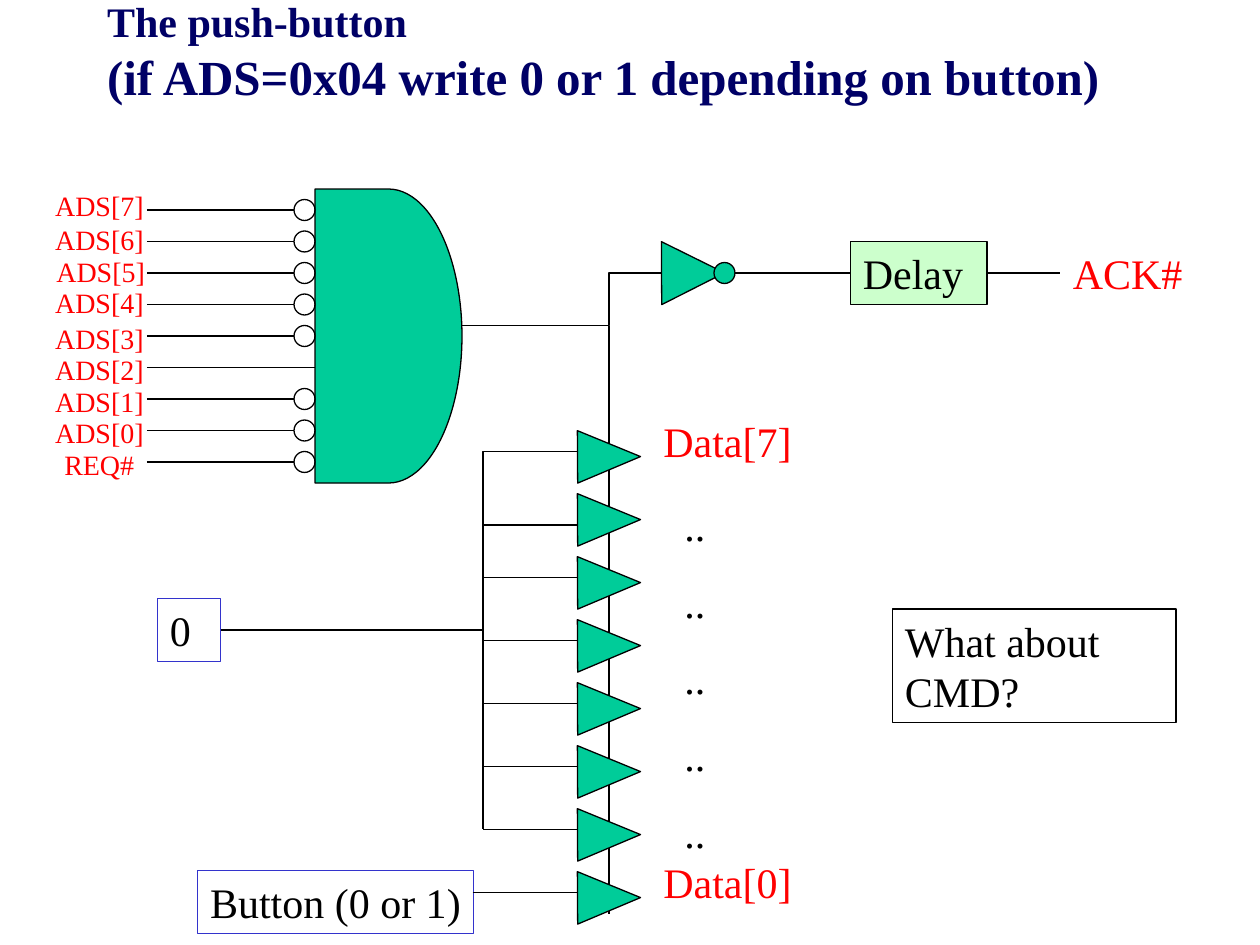
from dataclasses import dataclass
from typing import NamedTuple

from lxml import etree
from pptx import Presentation
from pptx import util as u
from pptx.dml.color import RGBColor
from pptx.enum import shapes as sh, text as tx
from pptx.oxml.ns import qn


@dataclass(frozen=True)
class Theme:
    font: str = "Times New Roman"
    navy: str = "000066"
    red: str = "FF0000"
    black: str = "000000"
    blue: str = "3333CC"
    gate: str = "00CC99"
    pale: str = "CCFFCC"
    small: int = 16
    body: int = 24
    head: int = 28
    line: float = 0.75


class Box(NamedTuple):
    x: float
    y: float
    w: float
    h: float


class Label(NamedTuple):
    text: str
    box: Box
    color: str
    size: int
    wrap: bool = True


T = Theme()
KIND = sh.MSO_SHAPE


def rgb(code: str) -> RGBColor:
    return RGBColor.from_string(code)


def place(box: Box) -> list:
    return [u.Pt(v) for v in box]


def style(shape, fill: str | None = None, line: str = T.black) -> None:
    shape.shadow.inherit = False
    if fill:
        shape.fill.solid()
        shape.fill.fore_color.rgb = rgb(fill)
    else:
        shape.fill.background()
    shape.line.color.rgb = rgb(line)
    shape.line.width = u.Pt(T.line)


def part(slide, kind, box: Box, fill: str | None = None,
         line: str = T.black, turn: float = 0):
    shape = slide.shapes.add_shape(kind, *place(box))
    style(shape, fill, line)
    shape.rotation = turn
    return shape


def wire(slide, x1: float, y1: float, x2: float, y2: float) -> None:
    ends = [u.Pt(v) for v in (x1, y1, x2, y2)]
    item = slide.shapes.add_connector(sh.MSO_CONNECTOR.STRAIGHT, *ends)
    item.line.color.rgb = rgb(T.black)
    item.line.width = u.Pt(T.line)
    etree.SubElement(item._element.spPr, qn("a:effectLst"))


def bend(slide, *dots: tuple[float, float]) -> None:
    """Draw one wire with corners through the given points."""
    pen = slide.shapes.build_freeform(*dots[0], scale=u.Pt(1))
    pen.add_line_segments(dots[1:], close=False)
    style(pen.convert_to_shape())


def write(shape, label: Label, align=tx.PP_ALIGN.LEFT) -> None:
    frame = shape.text_frame
    frame.word_wrap = label.wrap
    frame.vertical_anchor = tx.MSO_ANCHOR.TOP
    frame.text = label.text
    for para in frame.paragraphs:
        para.alignment = align
        if label.wrap:
            para.space_before = u.Pt(15)
        font = para.font
        font.name = T.font
        font.size = u.Pt(label.size)
        font.color.rgb = rgb(label.color)


def note(slide, label: Label, align=tx.PP_ALIGN.LEFT) -> None:
    write(slide.shapes.add_textbox(*place(label.box)), label, align)


def frame(slide, label: Label, line: str, fill: str | None = None) -> None:
    write(part(slide, KIND.RECTANGLE, label.box, fill, line), label)


def title(slide) -> None:
    head = slide.shapes.title
    head.left, head.top, head.width, head.height = place(Box(54, -6, 612, 90))
    area = head.text_frame
    area.auto_size = tx.MSO_AUTO_SIZE.NONE
    area.vertical_anchor = tx.MSO_ANCHOR.TOP
    para = area.paragraphs[0]
    para.alignment = tx.PP_ALIGN.LEFT
    para.font.name = T.font
    para.font.bold = True
    para.font.color.rgb = rgb(T.navy)
    first = para.add_run()
    first.text, first.font.size = "The push-button", u.Pt(T.body)
    para.add_line_break()
    last = para.add_run()
    last.text = "(if ADS=0x04 write 0 or 1 depending on button)"
    last.font.size = u.Pt(T.head)


def decode(slide) -> None:
    """Draw the address gate: every input but ADS[2] is inverted."""
    part(slide, KIND.FLOWCHART_DELAY, Box(180, 108, 84, 168), T.gate)
    tops = (104, 123.8, 141.8, 159.8, 180, 198, 216, 234, 252)
    names = [f"ADS[{bit}]" for bit in range(7, -1, -1)] + ["REQ#"]
    for row, (name, top) in enumerate(zip(names, tops)):
        y = 120 + 18 * row
        plain = name == "ADS[2]"
        if not plain:
            part(slide, KIND.OVAL, Box(168, y - 6, 12, 12))
        wire(slide, 84, y, 180 if plain else 168, y)
        left = 25.2 if name == "ADS[5]" else 24.5
        box, align = Box(left, top, 64.8, 26.6), tx.PP_ALIGN.LEFT
        if name == "REQ#":
            box, align = Box(25.8, top, 58, 26.6), tx.PP_ALIGN.RIGHT
        note(slide, Label(name, box, T.red, T.small, False), align)


def drive(slide) -> None:
    """Draw the eight data buffers with their enable and inputs."""
    bend(slide, (264, 186), (348, 186), (348, 522))
    for row in range(8):
        part(slide, KIND.ISOSCELES_TRIANGLE, Box(333, 243 + 36 * row, 30, 36),
             T.gate, turn=89.7)
    frame(slide, Label("Button (0 or 1)", Box(113, 497.5, 157.5, 36),
                       T.black, T.body, False), T.blue)
    wire(slide, 270, 510, 330, 510)
    frame(slide, Label("0", Box(90, 342, 36, 36), T.black, T.body), T.blue)
    bend(slide, (126, 360), (276, 360), (276, 258), (330, 258))
    wire(slide, 276, 360, 276, 474)
    for y in (300, 330, 366, 402, 438, 474):
        wire(slide, 330, y, 276, y)
    for name, y in (("Data[7]", 234), ("Data[0]", 486)):
        note(slide, Label(name, Box(372, y, 114, 36), T.red, T.body))
    dots = "\n".join([".."] * 5)
    note(slide, Label(dots, Box(384, 282, 36, 212), T.black, T.body))


def reply(slide) -> None:
    """Draw the inverter and delay that lead to ACK#."""
    part(slide, KIND.ISOSCELES_TRIANGLE, Box(378, 138, 36, 36), T.gate,
         turn=89.7)
    bend(slide, (348, 186), (348, 156), (378, 156))
    part(slide, KIND.OVAL, Box(408, 150, 12, 12), T.gate)
    wire(slide, 420, 156, 486, 156)
    frame(slide, Label("Delay", Box(486, 138, 78, 36), T.black, T.body),
          T.black, T.pale)
    wire(slide, 564, 156, 606, 156)
    note(slide, Label("ACK#", Box(606, 138, 77, 36), T.red, T.body, False))


def main() -> None:
    deck = Presentation()
    deck.slide_width, deck.slide_height = u.Pt(720), u.Pt(540)
    slide = deck.slides.add_slide(deck.slide_layouts[5])
    title(slide)
    decode(slide)
    drive(slide)
    reply(slide)
    frame(slide, Label("What about CMD?", Box(510, 348, 162, 65),
                       T.black, T.body), T.black)
    deck.save("out.pptx")


if __name__ == "__main__":
    main()
